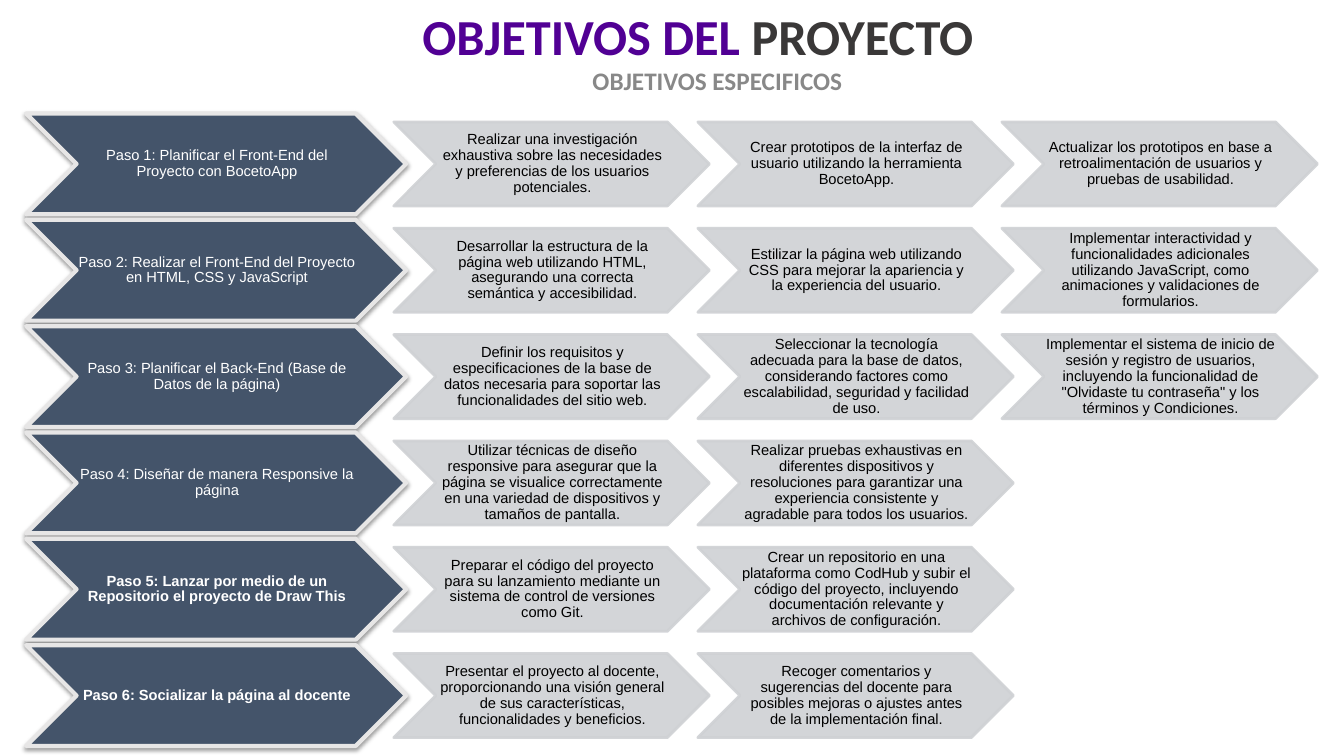
from lxml import etree
from pptx import Presentation
from pptx.dml.color import RGBColor
from pptx.enum.shapes import MSO_SHAPE
from pptx.enum.text import MSO_ANCHOR, MSO_AUTO_SIZE, PP_ALIGN
from pptx.oxml.ns import qn
from pptx.util import Pt

CHEVRON = MSO_SHAPE.CHEVRON
TOP, MIDDLE = MSO_ANCHOR.TOP, MSO_ANCHOR.MIDDLE
LEFT, CENTER = PP_ALIGN.LEFT, PP_ALIGN.CENTER
COLORS = {
    "purple": "510094", "charcoal": "3A3838", "gray": "888888",
    "step": "44546A", "step_edge": "E7E6E6", "task": "CFD1D4",
    "white": "FFFFFF", "black": "000000",
}
ROW_TOP, ROW_PITCH = 81.1, 75.95
STEP_LEFT, STEP_WIDTH, STEP_HEIGHT = 18.7, 271.4, 72
TASK_LEFT, TASK_PITCH, TASK_WIDTH, TASK_HEIGHT = 281.3, 217.2, 225.4, 60

# Step, whether it is bold, and its tasks
STEPS = [
    ("Paso 1: Planificar el Front-End del Proyecto con BocetoApp", False, [
        "Realizar una investigación exhaustiva sobre las necesidades y preferencias de los usuarios potenciales.",
        "Crear prototipos de la interfaz de usuario utilizando la herramienta BocetoApp.",
        "Actualizar los prototipos en base a retroalimentación de usuarios y pruebas de usabilidad.",
    ]),
    ("Paso 2: Realizar el Front-End del Proyecto en HTML, CSS y JavaScript", False, [
        "Desarrollar la estructura de la página web utilizando HTML, asegurando una correcta semántica y accesibilidad.",
        "Estilizar la página web utilizando CSS para mejorar la apariencia y la experiencia del usuario.",
        "Implementar interactividad y funcionalidades adicionales utilizando JavaScript, como animaciones "
        "y validaciones de formularios.",
    ]),
    ("Paso 3: Planificar el Back-End (Base de Datos de la página)", False, [
        "Definir los requisitos y especificaciones de la base de datos necesaria para soportar las "
        "funcionalidades del sitio web.",
        "Seleccionar la tecnología adecuada para la base de datos, considerando factores como "
        "escalabilidad, seguridad y facilidad de uso.",
        "Implementar el sistema de inicio de sesión y registro de usuarios, incluyendo la funcionalidad "
        "de \"Olvidaste tu contraseña\" y los términos y Condiciones.",
    ]),
    ("Paso 4: Diseñar de manera Responsive la página", False, [
        "Utilizar técnicas de diseño responsive para asegurar que la página se visualice correctamente "
        "en una variedad de dispositivos y tamaños de pantalla.",
        "Realizar pruebas exhaustivas en diferentes dispositivos y resoluciones para garantizar una "
        "experiencia consistente y agradable para todos los usuarios.",
    ]),
    ("Paso 5: Lanzar por medio de un Repositorio el proyecto de Draw This", True, [
        "Preparar el código del proyecto para su lanzamiento mediante un sistema de control de versiones como Git.",
        "Crear un repositorio en una plataforma como CodHub y subir el código del proyecto, incluyendo "
        "documentación relevante y archivos de configuración.",
    ]),
    ("Paso 6: Socializar la página al docente", True, [
        "Presentar el proyecto al docente, proporcionando una visión general de sus características, "
        "funcionalidades y beneficios.",
        "Recoger comentarios y sugerencias del docente para posibles mejoras o ajustes antes de la "
        "implementación final.",
    ]),
]


def write_text(shape, runs, font, size, bold, align, anchor, margins):
    """Fill a shape with one paragraph of (text, colour) runs; margins are (left, top, right, bottom)."""
    frame = shape.text_frame
    frame.word_wrap = True
    frame.auto_size = MSO_AUTO_SIZE.NONE
    frame.vertical_anchor = anchor
    frame.margin_left, frame.margin_top, frame.margin_right, frame.margin_bottom = map(Pt, margins)
    paragraph = frame.paragraphs[0]
    paragraph.alignment = align
    paragraph.space_before = Pt(0)
    for text, color in runs:
        run = paragraph.add_run()
        run.text = text
        run.font.name, run.font.size, run.font.bold = font, Pt(size), bold
        run.font.color.rgb = RGBColor.from_string(COLORS[color])
    return paragraph


def add_chevron(left, top, width, height, fill, edge, edge_width, text, text_color, bold):
    chevron = slide.shapes.add_shape(CHEVRON, Pt(left), Pt(top), Pt(width), Pt(height))
    chevron.shadow.inherit = False
    chevron.fill.solid()
    chevron.fill.fore_color.rgb = RGBColor.from_string(COLORS[fill])
    chevron.line.color.rgb = RGBColor.from_string(COLORS[edge])
    chevron.line.width = Pt(edge_width)
    paragraph = write_text(chevron, [(text, text_color)], "Arial", 10.5, bold,
                           CENTER, MIDDLE, (1.33, 0.67, 0, 0.67))
    paragraph.line_spacing = 0.9
    return chevron


deck = Presentation()
deck.slide_width, deck.slide_height = Pt(960), Pt(540)
slide = deck.slides.add_slide(deck.slide_layouts[0])

title, subtitle = slide.placeholders
title.left, title.top, title.width, title.height = Pt(258.5), Pt(0), Pt(480), Pt(51)
write_text(title, [("OBJETIVOS DEL ", "purple"), ("PROYECTO", "charcoal")],
           "Calibri", 36, True, CENTER, TOP, (7.2, 3.6, 7.2, 3.6))
subtitle.left, subtitle.top, subtitle.width, subtitle.height = Pt(416), Pt(43.4), Pt(201), Pt(29)
write_text(subtitle, [("OBJETIVOS ESPECIFICOS", "gray")],
           "Calibri", 18, True, LEFT, TOP, (7.2, 3.6, 7.2, 3.6))

for row, (step_text, step_bold, tasks) in enumerate(STEPS):
    step_top = ROW_TOP + row * ROW_PITCH
    step = add_chevron(STEP_LEFT, step_top, STEP_WIDTH, STEP_HEIGHT,
                       "step", "step_edge", 3, step_text, "white", step_bold)
    effects = step.element.spPr.find(qn("a:effectLst"))
    shadow = etree.SubElement(effects, qn("a:outerShdw"), blurRad=str(Pt(3.1)), dist=str(Pt(1.6)),
                              dir="5400000", rotWithShape="0")
    shadow_color = etree.SubElement(shadow, qn("a:srgbClr"), val=COLORS["black"])
    etree.SubElement(shadow_color, qn("a:alpha"), val="38000")

    task_top = step_top + (STEP_HEIGHT - TASK_HEIGHT) / 2
    for column, task_text in enumerate(tasks):
        task = add_chevron(TASK_LEFT + column * TASK_PITCH, task_top, TASK_WIDTH, TASK_HEIGHT,
                           "task", "task", 2, task_text, "black", False)
        for color in task.element.spPr.iter(qn("a:srgbClr")):
            etree.SubElement(color, qn("a:alpha"), val="90000")

deck.save("out.pptx")
